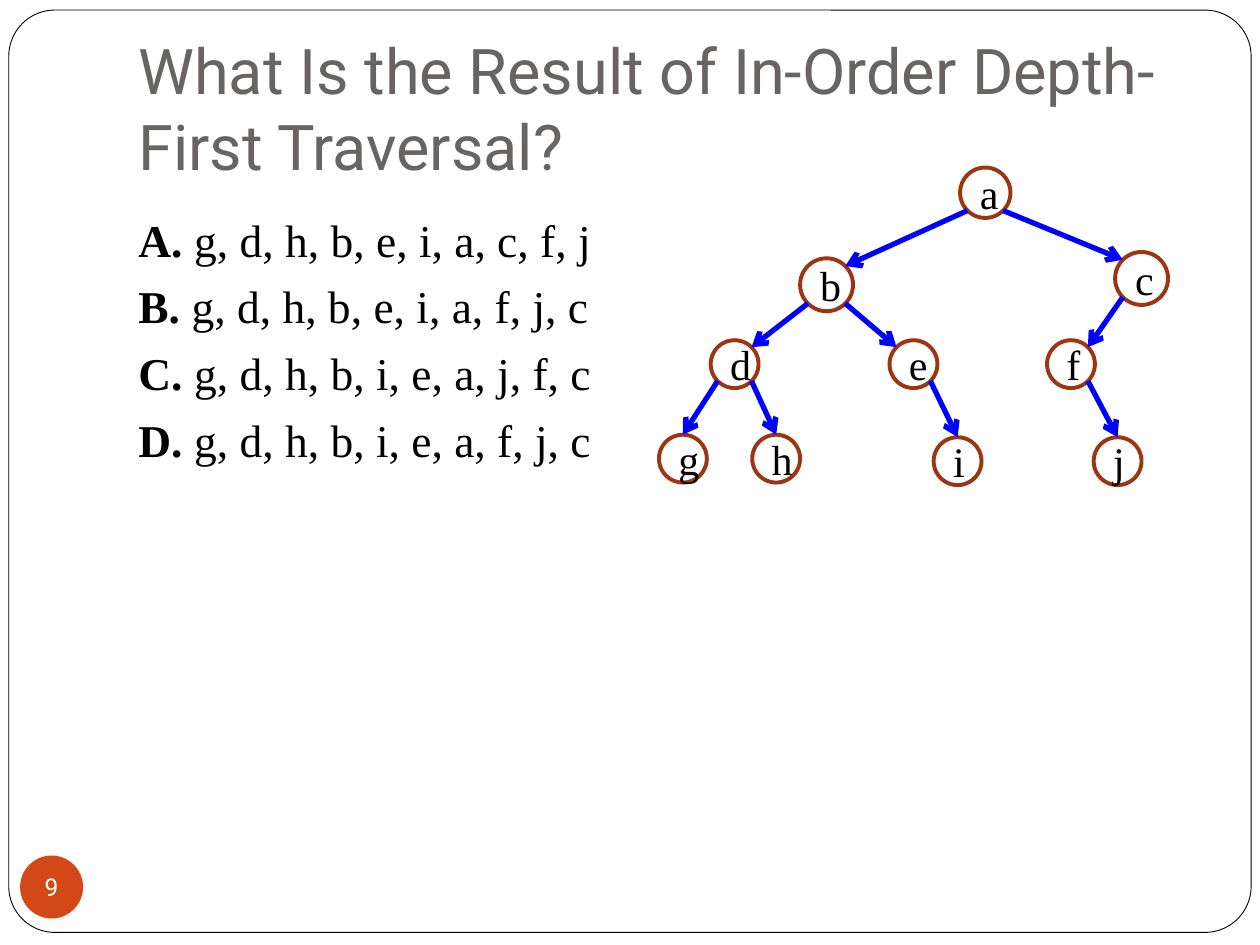
from dataclasses import dataclass
from math import sqrt

from lxml.etree import SubElement
from pptx import Presentation
from pptx.dml.color import RGBColor
from pptx.enum.shapes import MSO_CONNECTOR, MSO_SHAPE
from pptx.enum.text import MSO_ANCHOR, PP_ALIGN
from pptx.oxml.ns import qn
from pptx.util import Inches, Pt

SERIF, SANS = "Times New Roman", "Roboto"


@dataclass
class Node:
    """A circle of the tree, with the names of its left and right child."""
    name: str
    left: float
    top: float
    size: float
    kids: tuple = (None, None)

    def port(self, right, lower):
        """Give the point of the rim on the chosen diagonal."""
        half = self.size / 2
        step = half / sqrt(2)
        return (self.left + half + (step if right else -step),
                self.top + half + (step if lower else -step))


NODES = [
    Node("a", 7.62, 1.33, 0.4, ("b", "c")),
    Node("b", 6.35, 2.05, 0.42, ("d", "e")),
    Node("c", 8.85, 2, 0.42, ("f", None)),
    Node("d", 5.64, 2.7, 0.38, ("g", "h")),
    Node("e", 7.06, 2.7, 0.38, (None, "i")),
    Node("f", 8.31, 2.7, 0.38, (None, "j")),
    Node("g", 5.23, 3.45, 0.38),
    Node("h", 5.97, 3.45, 0.38),
    Node("i", 7.41, 3.47, 0.38),
    Node("j", 8.68, 3.47, 0.38),
]
CHOICES = [
    ("A.", "g, d, h, b, e, i, a, c, f, j"),
    ("B.", "g, d, h, b, e, i, a, f, j, c"),
    ("C.", "g, d, h, b, i, e, a, j, f, c"),
    ("D.", "g, d, h, b, i, e, a, f, j, c"),
]


def paint(form, code: str):
    """Set a solid colour on a fill or a colour on a font."""
    if hasattr(form, "solid"):
        form.solid()
        form.fore_color.rgb = RGBColor.from_string(code)
    else:
        form.color.rgb = RGBColor.from_string(code)


def write(para, text: str, size: float, face: str, code: str, bold=False):
    """Add one run to a paragraph."""
    run = para.add_run()
    run.text = text
    font = run.font
    font.size, font.name, font.bold = Pt(size), face, bold
    paint(font, code)


def draw(slide, kind, box: tuple, fill=None, line=None, width=0.0):
    """Add a preset shape and return it."""
    shape = slide.shapes.add_shape(kind, *map(Inches, box))
    shape.shadow.inherit = False
    if fill:
        paint(shape.fill, fill)
    else:
        shape.fill.background()
    if line:
        paint(shape.line.fill, line)
        shape.line.width = Pt(width)
    else:
        shape.line.fill.background()
    return shape


def label(shape, text: str, size: float, face: str, code: str):
    """Write a centred label in a shape."""
    frame = shape.text_frame
    frame.vertical_anchor = MSO_ANCHOR.MIDDLE
    para = frame.paragraphs[0]
    para.alignment = PP_ALIGN.CENTER
    write(para, text, size, face, code)


def block(slide, box: tuple):
    """Add a wrapping text box and return its frame."""
    frame = slide.shapes.add_textbox(*map(Inches, box)).text_frame
    frame.word_wrap = True
    return frame


def arrow(slide, start: tuple, end: tuple):
    """Add a blue arrow and return it."""
    link = slide.shapes.add_connector(
        MSO_CONNECTOR.STRAIGHT, *map(Inches, start + end))
    paint(link.line.fill, "0000FF")
    link.line.width = Pt(3)
    SubElement(link.line._get_or_add_ln(), qn("a:tailEnd"), type="arrow")
    SubElement(link._element.spPr, qn("a:effectLst"))
    return link


def tree(slide):
    """Draw the circles and the arrows from parent to child."""
    discs = {}
    for node in NODES:
        disc = draw(slide, MSO_SHAPE.OVAL,
                    (node.left, node.top, node.size, node.size),
                    line="9C3511", width=2.25)
        disc.text_frame.word_wrap = True
        label(disc, node.name, 24, SERIF, "000000")
        discs[node.name] = disc
    names = {node.name: node for node in NODES}
    for node in NODES:
        for right, name in enumerate(node.kids):
            if name:
                kid = names[name]
                link = arrow(slide, node.port(right, True),
                             kid.port(not right, False))
                if not any(kid.kids):
                    link.end_connect(discs[name], 0)


def main():
    """Build and save the slide."""
    deck = Presentation()
    deck.slide_width, deck.slide_height = Inches(10), Inches(7.5)
    slide = deck.slides.add_slide(deck.slide_layouts[6])

    frame = draw(slide, MSO_SHAPE.ROUNDED_RECTANGLE,
                 (0.07, 0.08, 9.86, 7.32), "FFFFFF", "000000", 0.5)
    frame.adjustments[0] = 0.05

    title = block(slide, (1, 0.3, 8.5, 1.25))
    title.vertical_anchor = MSO_ANCHOR.BOTTOM
    title.margin_bottom = Inches(0.1)
    write(title.paragraphs[0],
          "What Is the Result of In-Order Depth-First Traversal?",
          36, SANS, "696464")

    badge = draw(slide, MSO_SHAPE.OVAL, (0.16, 6.79, 0.5, 0.5), "D34817")
    text = badge.text_frame
    text.word_wrap = False
    text.margin_left = text.margin_right = Inches(0)
    text.margin_top = text.margin_bottom = Inches(0)
    label(badge, "9", 14, SANS, "FFFFFF")

    body = block(slide, (1, 1.58, 8.5, 5))
    body.margin_top = Inches(0.1)
    for rank, (mark, order) in enumerate(CHOICES):
        para = body.add_paragraph() if rank else body.paragraphs[0]
        para.space_before = Pt(7 if rank else 0)
        write(para, mark + " ", 26, SERIF, "000000", True)
        write(para, order, 26, SERIF, "000000")

    tree(slide)
    deck.save("out.pptx")


if __name__ == "__main__":
    main()
